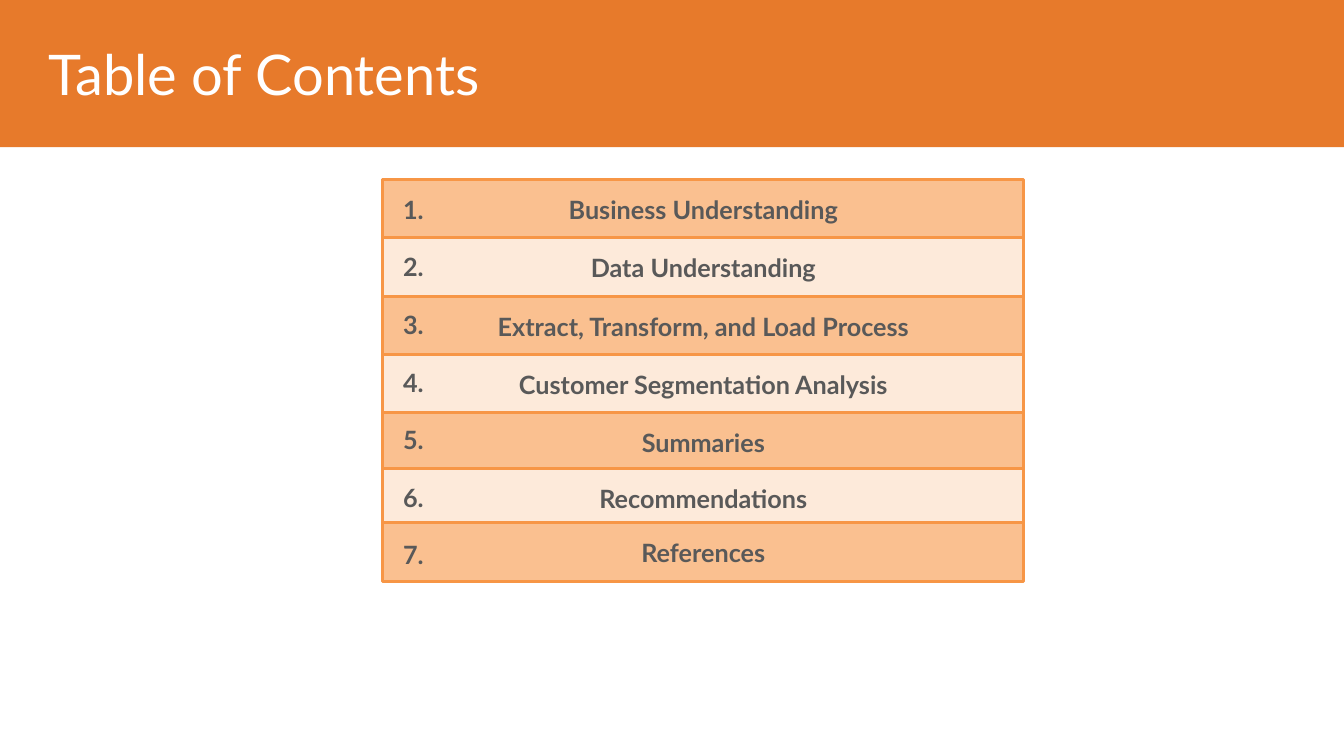
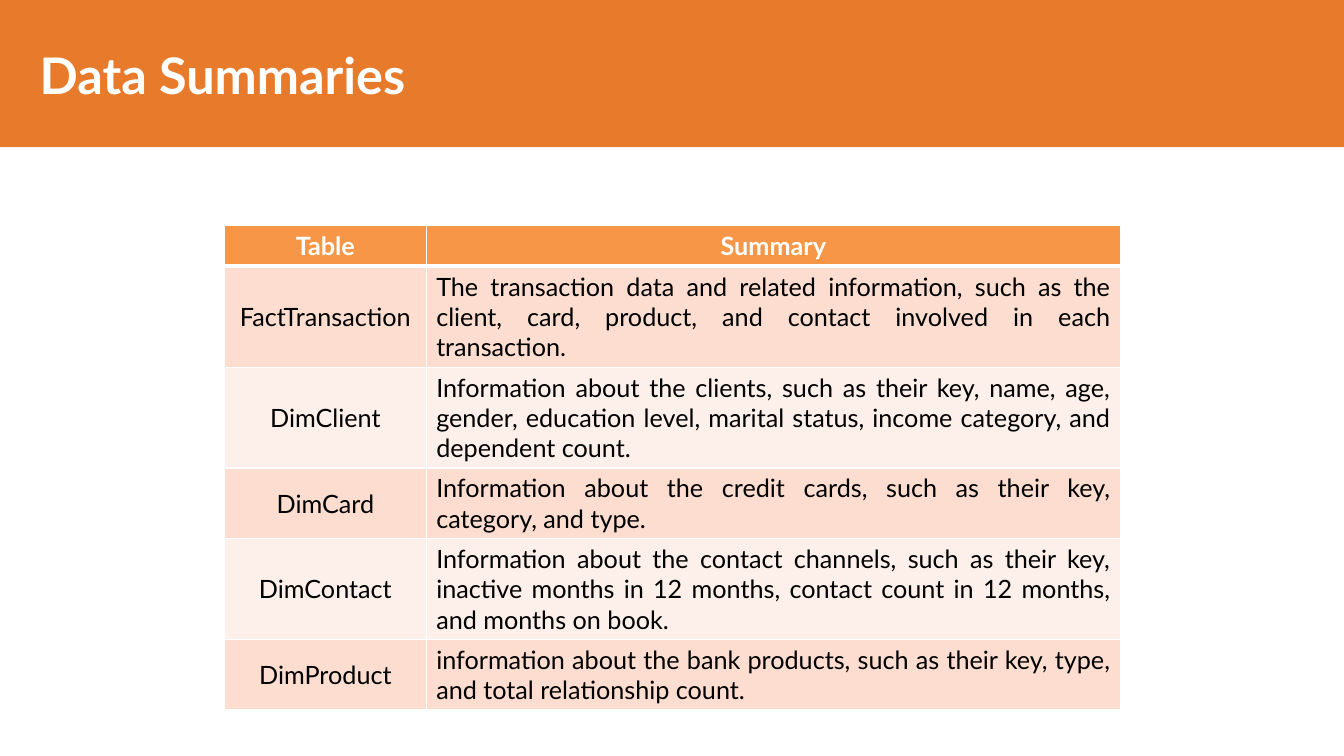
from lxml.etree import Element, SubElement
from pptx import Presentation
from pptx.dml.color import RGBColor
from pptx.enum.shapes import MSO_SHAPE as Shape
from pptx.enum.text import MSO_ANCHOR as Anchor, MSO_AUTO_SIZE as Fit, PP_ALIGN as Align
from pptx.oxml.ns import qn
from pptx.util import Cm, Pt

FONT = "Lato"
BAND = RGBColor(0xE7, 0x7A, 0x2B)
EDGE = RGBColor(0xF7, 0x96, 0x46)
DARK = RGBColor(0xFA, 0xC0, 0x90)
PALE = RGBColor(0xFD, 0xEA, 0xDA)
ROSE = RGBColor(0xFC, 0xDD, 0xCF)
BLUSH = RGBColor(0xFD, 0xEF, 0xE9)
GREY = RGBColor(0x59, 0x59, 0x59)
BLACK = RGBColor(0, 0, 0)
WHITE = RGBColor(0xFF, 0xFF, 0xFF)

WIDTH, HEIGHT = 33.87, 19.05

# Top of each bar in cm, with its topic
TOPICS = [
    (4.52, "Business Understanding"),
    (5.99, "Data Understanding"),
    (7.47, "Extract, Transform, and Load Process"),
    (8.94, "Customer Segmentation Analysis"),
    (10.39, "Summaries"),
    (11.81, "Recommendations"),
    (13.16, "References"),
]

# Row height in cm, table name, summary
TABLES = [
    (1.03, "Table", "Summary"),
    (2.54, "FactTransaction",
     "The transaction data and related information, such as the client, card, "
     "product, and contact involved in each transaction."),
    (2.54, "DimClient",
     "Information about the clients, such as their key, name, age, gender, "
     "education level, marital status, income category, and dependent count."),
    (1.78, "DimCard",
     "Information about the credit cards, such as their key, category, and type."),
    (2.54, "DimContact",
     "Information about the contact channels, such as their key, inactive months "
     "in 12 months, contact count in 12 months, and months on book."),
    (1.78, "DimProduct",
     "information about the bank products, such as their key, type, and total "
     "relationship count."),
]


def write(frame, text, size=18, color=GREY, bold=False, align=Align.CENTER,
          anchor=Anchor.MIDDLE):
    frame.word_wrap = True
    frame.vertical_anchor = anchor
    para = frame.paragraphs[0]
    para.alignment = align
    run = para.add_run()
    run.text = text
    font = run.font
    font.name, font.size, font.bold = FONT, Pt(size), bold
    font.color.rgb = color


def add_box(slide, left, top, width, height, fill, line=None):
    box = slide.shapes.add_shape(Shape.RECTANGLE, Cm(left), Cm(top), Cm(width), Cm(height))
    box.shadow.inherit = False
    box.fill.solid()
    box.fill.fore_color.rgb = fill
    if line is None:
        box.line.fill.background()
    else:
        box.line.color.rgb = line
        box.line.width = Pt(2)
    return box


def add_slide(deck, text, left, top, width, height, **style):
    """Add a slide with the colour band behind its title."""
    slide = deck.slides.add_slide(deck.slide_layouts.get_by_name("Title Only"))
    title = slide.shapes.title
    title.left, title.top = Cm(left), Cm(top)
    title.width, title.height = Cm(width), Cm(height)
    frame = title.text_frame
    frame.auto_size = Fit.NONE
    frame.margin_left = frame.margin_right = frame.margin_bottom = 0
    frame.margin_top = Cm(0.03)
    write(frame, text, color=WHITE, anchor=Anchor.TOP, **style)
    frame.paragraphs[0].space_before = Pt(0.9)
    band = add_box(slide, 0, 0, WIDTH, 3.71, BAND)
    title.element.addprevious(band.element)
    return slide


def add_topics(slide):
    for i, (top, topic) in enumerate(TOPICS):
        bar = add_box(slide, 9.65, top, 16.15, 1.5, PALE if i % 2 else DARK, EDGE)
        write(bar.text_frame, topic, bold=True)
    for i in range(len(TOPICS)):
        label = slide.shapes.add_textbox(Cm(9.91), Cm(4.77 + 1.45 * i), Cm(1.2), Cm(1.02))
        write(label.text_frame, f"{i + 1}.", bold=True, align=Align.LEFT, anchor=Anchor.TOP)


def set_edges(props, widths):
    """Give a cell white borders, with widths in points by side."""
    for i, (side, width) in enumerate(widths.items()):
        line = Element(qn(f"a:ln{side}"), w=str(Pt(width)))
        fill = SubElement(line, qn("a:solidFill"))
        SubElement(fill, qn("a:srgbClr"), val=str(WHITE))
        props.insert(i, line)


def add_grid(slide):
    tall = sum(row[0] for row in TABLES)
    frame = slide.shapes.add_table(len(TABLES), 2, Cm(5.66), Cm(5.68), Cm(22.58), Cm(tall))
    grid = frame.table
    for col, width in zip(grid.columns, (5.08, 17.5)):
        col.width = Cm(width)
    for i, (height, *texts) in enumerate(TABLES):
        grid.rows[i].height = Cm(height)
        head = i == 0
        fill = EDGE if head else ROSE if i % 2 else BLUSH
        for j, text in enumerate(texts):
            cell = grid.cell(i, j)
            cell.fill.solid()
            cell.fill.fore_color.rgb = fill
            cell.vertical_anchor = Anchor.MIDDLE
            write(cell.text_frame, text, color=WHITE if head else BLACK, bold=head,
                  align=Align.JUSTIFY if j and not head else Align.CENTER, anchor=None)
    for i, props in enumerate(frame.element.iter(qn("a:tcPr"))):
        row = i // 2
        set_edges(props, {"L": 1, "R": 1, "T": 3 if row == 1 else 1, "B": 3 if row == 0 else 1})


def main():
    deck = Presentation()
    deck.slide_width, deck.slide_height = Cm(WIDTH), Cm(HEIGHT)
    add_topics(add_slide(deck, "Table of Contents", 0.51, 0.97, 12.29, 1.75, size=40))
    add_grid(add_slide(deck, "Data Summaries", 1, 1.07, 23.06, 1.57, size=36, bold=True,
                       align=Align.LEFT))
    deck.save("out.pptx")


if __name__ == "__main__":
    main()
